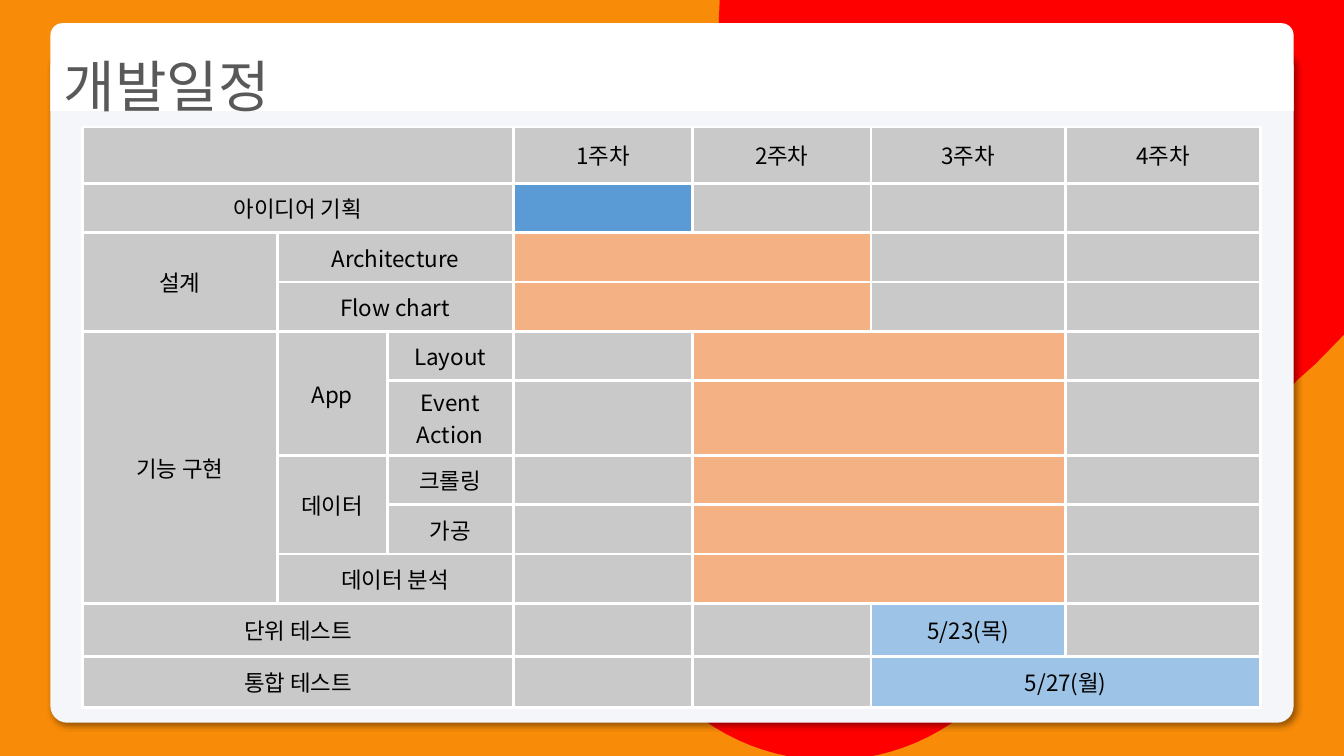
from dataclasses import dataclass

from lxml import etree
from pptx import Presentation
from pptx.dml.color import RGBColor
from pptx.enum.shapes import MSO_SHAPE
from pptx.enum.text import MSO_ANCHOR, PP_ALIGN
from pptx.oxml.ns import qn
from pptx.util import Inches, Pt

ROUND = MSO_SHAPE.ROUNDED_RECTANGLE
TOP_ROUND = MSO_SHAPE.ROUND_2_SAME_RECTANGLE
MIDDLE = MSO_ANCHOR.MIDDLE
LEFT, CENTER = PP_ALIGN.LEFT, PP_ALIGN.CENTER
WIDE, HIGH = Inches(13.33), Inches(7.5)


@dataclass(frozen=True)
class Theme:
    """Colours and type sizes of the slide."""
    back: str = "F88B08"
    wave: str = "FF0000"
    card: str = "F5F6F9"
    white: str = "FFFFFF"
    black: str = "000000"
    title: str = "595959"
    gray: str = "C9C9C9"
    plan: str = "5B9BD5"
    work: str = "F4B183"
    test: str = "9DC3E6"
    font: str = "Noto Sans CJK KR"
    head: int = 40
    body: int = 16
    rule: float = 2.25


THEME = Theme()

WAVE = [
    [(100, 0)], [(100, 44.27)], [(97.88, 48.13)], [(96.53, 50.27)],
    [(96.15, 51.07)],
    [(95.85, 51.87), (95.48, 52.53), (95.03, 53.33)],
    [(73.2, 92.13)],
    [(67.28, 102.67), (57.9, 103.33), (51.53, 94.13)],
    [(50.25, 92.13)], [(49.13, 90)],
    [(43.95, 78.67), (44.33, 61.87), (50.25, 51.33)],
    [(61.58, 31.33)], [(59.03, 26.8)],
    [(55.35, 20.13), (53.48, 11.47), (53.48, 2.93)],
    [(53.55, 0)],
]

COLS = [14.48, 8.18, 9.38, 13.35, 13.28, 14.48, 14.48]
ROWS = [7.47] + [6.53] * 4 + [8.27] + [6.53] * 3 + [7.07, 6.67]

LABELS = [
    (0, 0, 1, 3, ""),
    *[(0, 2 + week, 1, 1, f"{week}주차") for week in range(1, 5)],
    (1, 0, 1, 3, "아이디어 기획"),
    (2, 0, 2, 1, "설계"),
    (2, 1, 1, 2, "Architecture"),
    (3, 1, 1, 2, "Flow chart"),
    (4, 0, 5, 1, "기능 구현"),
    (4, 1, 2, 1, "App"),
    (4, 2, 1, 1, "Layout"),
    (5, 2, 1, 1, "Event Action"),
    (6, 1, 2, 1, "데이터"),
    (6, 2, 1, 1, "크롤링"),
    (7, 2, 1, 1, "가공"),
    (8, 1, 1, 2, "데이터 분석"),
    (9, 0, 1, 3, "단위 테스트"),
    (10, 0, 1, 3, "통합 테스트"),
]

BARS = [
    (1, 3, 1, "", THEME.plan),
    *[(row, 3, 2, "", THEME.work) for row in (2, 3)],
    *[(row, 4, 2, "", THEME.work) for row in range(4, 9)],
    (9, 5, 1, "5/23(목)", THEME.test),
    (10, 5, 2, "5/27(월)", THEME.test),
]


def across(share):
    """Turn a percent of the slide's width into a length."""
    return round(WIDE * share / 100)


def down(share):
    """Turn a percent of the slide's height into a length."""
    return round(HIGH * share / 100)


def paint(fill, color):
    """Give a fill one solid colour."""
    fill.solid()
    fill.fore_color.rgb = RGBColor.from_string(color)


def write(frame, text, size, color, align):
    """Write one run into the first paragraph of a frame."""
    line = frame.paragraphs[0]
    line.alignment = align
    run = line.add_run()
    run.text = text
    font = run.font
    font.size, font.name = Pt(size), THEME.font
    font.color.rgb = RGBColor.from_string(color)
    latin = run._r.rPr.find(qn("a:latin"))
    east = etree.Element(qn("a:ea"), typeface=THEME.font)
    latin.addnext(east)
    return line


def curve(start, bend, steps=24):
    """List points along a cubic curve, or the end of a straight line."""
    if len(bend) == 1:
        return bend
    points = []
    knots = (start, *bend)
    for step in range(1, steps + 1):
        t = step / steps
        parts = ((1 - t) ** 3, 3 * t * (1 - t) ** 2, 3 * t * t * (1 - t), t ** 3)
        points.append(tuple(sum(p * k[axis] for p, k in zip(parts, knots))
                            for axis in (0, 1)))
    return points


def add_wave(slide):
    """Draw the red outline behind the card."""
    points = list(WAVE[0])
    for bend in WAVE[1:]:
        points += curve(points[-1], bend)
    places = [(across(x), down(y)) for x, y in points]
    pen = slide.shapes.build_freeform(*places[0], scale=1.0)
    pen.add_line_segments(places[1:], close=True)
    wave = pen.convert_to_shape()
    wave.shadow.inherit = False
    paint(wave.fill, THEME.wave)
    wave.line.fill.background()


def add_panel(slide, kind, top, height, bends, color):
    """Add a rounded panel as wide as the card."""
    panel = slide.shapes.add_shape(
        kind, across(3.75), down(top), across(92.5), down(height))
    panel.shadow.inherit = False
    for index, bend in enumerate(bends):
        panel.adjustments[index] = bend
    paint(panel.fill, color)
    panel.line.fill.background()
    return panel


def add_shade(panel):
    """Cast a soft shadow to the lower right."""
    effects = panel._element.spPr.find(qn("a:effectLst"))
    shade = etree.SubElement(
        effects, qn("a:outerShdw"), blurRad=str(Pt(4)), dist=str(Pt(3)),
        dir=str(45 * 60000), algn="tl", rotWithShape="0")
    color = etree.SubElement(shade, qn("a:srgbClr"), val=THEME.black)
    etree.SubElement(color, qn("a:alpha"), val="40000")


def add_rules(cell):
    """Draw a rule on each side of a cell."""
    props = cell._tc.get_or_add_tcPr()
    for side in ("lnL", "lnR", "lnT", "lnB"):
        rule = etree.SubElement(props, qn("a:" + side), w=str(Pt(THEME.rule)))
        fill = etree.SubElement(rule, qn("a:solidFill"))
        etree.SubElement(fill, qn("a:srgbClr"), val=THEME.white)


def fill_cell(table, row, col, tall, wide, text, color):
    """Merge a block of cells, then paint and label it."""
    cell = table.cell(row, col)
    if tall * wide > 1:
        cell.merge(table.cell(row + tall - 1, col + wide - 1))
    paint(cell.fill, color)
    if text:
        write(cell.text_frame, text, THEME.body, THEME.black, CENTER)


def add_plan(slide):
    """Add the table of tasks and weeks."""
    table = slide.shapes.add_table(
        len(ROWS), len(COLS), across(6.15), down(16.8),
        across(sum(COLS)), down(sum(ROWS))).table
    table.first_row = table.horz_banding = False
    for col, share in zip(table.columns, COLS):
        col.width = across(share)
    for row, share in zip(table.rows, ROWS):
        row.height = down(share)
    for cell in table.iter_cells():
        add_rules(cell)
        paint(cell.fill, THEME.gray)
        cell.vertical_anchor = MIDDLE
    for label in LABELS:
        fill_cell(table, *label, THEME.gray)
    for row, col, wide, text, color in BARS:
        fill_cell(table, row, col, 1, wide, text, color)


def main():
    """Build the slide and save it."""
    deck = Presentation()
    deck.slide_width, deck.slide_height = WIDE, HIGH
    slide = deck.slides.add_slide(deck.slide_layouts[6])
    paint(slide.background.fill, THEME.back)
    add_wave(slide)
    add_shade(add_panel(slide, ROUND, 6.67, 88.93, [0.025], THEME.card))
    banner = add_panel(slide, TOP_ROUND, 3.07, 11.6, [0.137, 0], THEME.white)
    frame = banner.text_frame
    frame.word_wrap, frame.vertical_anchor = True, MIDDLE
    title = write(frame, "개발일정", THEME.head, THEME.title, LEFT)
    title.line_spacing = 1.5
    add_plan(slide)
    deck.save("out.pptx")


if __name__ == "__main__":
    main()
